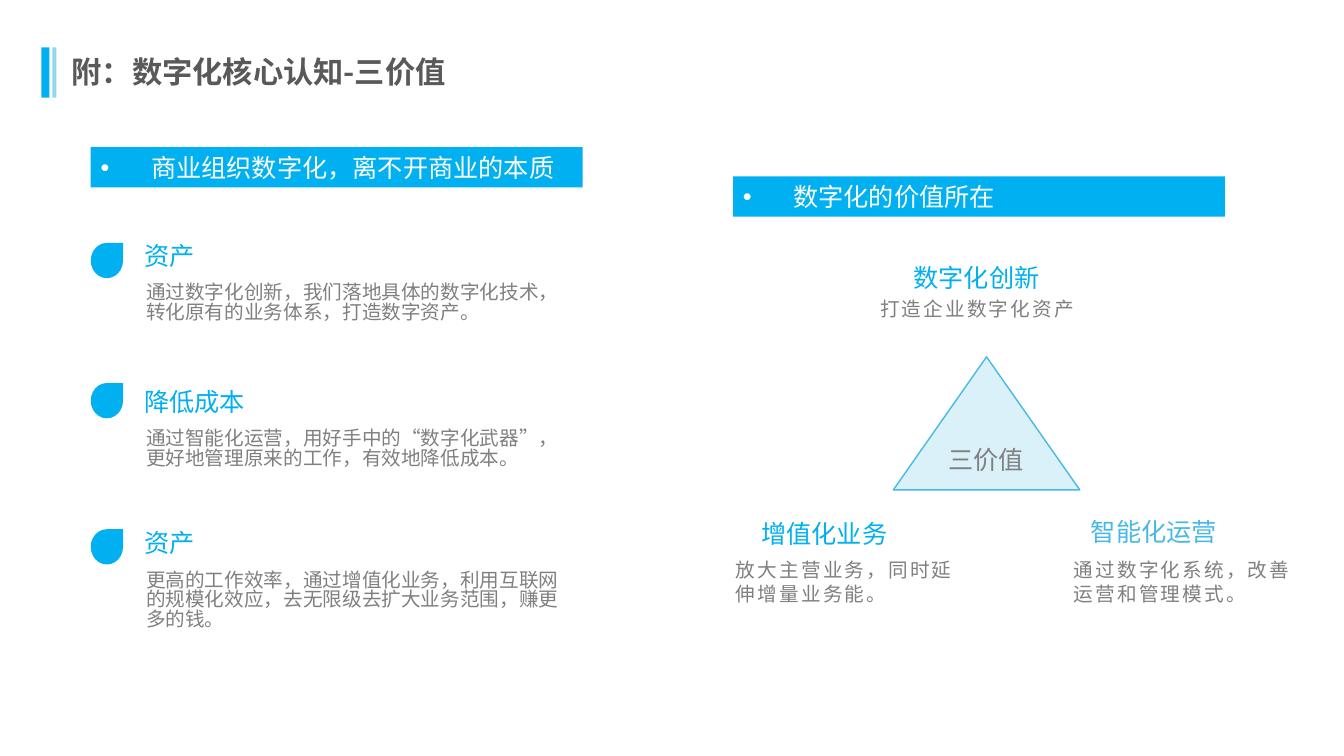
from pptx import Presentation
from pptx.dml.color import RGBColor
from pptx.enum.shapes import MSO_SHAPE
from pptx.enum.text import MSO_ANCHOR, PP_ALIGN
from pptx.oxml.xmlchemy import OxmlElement
from pptx.util import Emu, Pt

EMU_PER_PX = 9144
FONT = "Noto Sans CJK SC"
BLUE = RGBColor(0x00, 0xB0, 0xF0)
SKY = RGBColor(0x48, 0xB9, 0xE5)
LIGHT_BLUE = RGBColor(0x91, 0xD5, 0xEF)
PALE_BLUE = RGBColor(0xDA, 0xF1, 0xFA)
WHITE = RGBColor(0xFF, 0xFF, 0xFF)
GREY = RGBColor(0x80, 0x80, 0x80)
DARK_GREY = RGBColor(0x59, 0x59, 0x59)

HEADING = {"size": Pt(18), "name": FONT}
DETAIL = {"size": Pt(14), "name": FONT}
TITLE = {"size": Pt(21.6), "name": FONT, "bold": True}
PADDING = ("margin_left", "margin_top", "margin_right", "margin_bottom")

BENEFITS = [
    (241, 230, 57, "资产",
     "通过数字化创新，我们落地具体的数字化技术，转化原有的业务体系，打造数字资产。"),
    (380, 375, 57, "降低成本",
     "通过智能化运营，用好手中的“数字化武器”，更好地管理原来的工作，有效地降低成本。"),
    (525, 515, 81, "资产",
     "更高的工作效率，通过增值化业务，利用互联网的规模化效应，去无限级去扩大业务范围，赚更多的钱。"),
]
CORNERS = [
    ((898, 252, 186, 46), "数字化创新", BLUE,
     (865, 283, 250, 45), "打造企业数字化资产"),
    ((747, 506, 191, 46), "增值化业务", BLUE,
     (722, 540, 237, 74), "放大主营业务，同时延伸增量业务能。"),
    ((1074, 504, 165, 46), "智能化运营", SKY,
     (1057, 540, 232, 74), "通过数字化系统，改善运营和管理模式。"),
]


def px(length):
    return Emu(length * EMU_PER_PX)


def set_attributes(target, values):
    for name, value in values.items():
        setattr(target, name, value)


def write(frame, wording, font_values, color, paragraph_values, tracking=0):
    frame.word_wrap = True
    paragraph = frame.paragraphs[0]
    set_attributes(paragraph, paragraph_values)
    run = paragraph.add_run()
    run.text = wording
    set_attributes(run.font, font_values)
    run.font.color.rgb = color
    properties = run.font._element
    east_asian = OxmlElement("a:ea")
    east_asian.set("typeface", FONT)
    properties.append(east_asian)
    if tracking:
        properties.set("spc", str(tracking))
    return paragraph


def add_label(slide, box, wording, font_values, color, anchor=MSO_ANCHOR.MIDDLE,
              padding=None, align=PP_ALIGN.LEFT, spacing=1.0, tracking=0):
    frame = slide.shapes.add_textbox(*map(px, box)).text_frame
    frame.vertical_anchor = anchor
    if padding:
        set_attributes(frame, dict.fromkeys(PADDING, px(padding)))
    write(frame, wording, font_values, color,
          {"alignment": align, "line_spacing": spacing}, tracking)


def add_figure(slide, preset, box, fill, outline=None):
    figure = slide.shapes.add_shape(preset, *map(px, box))
    figure.shadow.inherit = False
    figure.fill.solid()
    figure.fill.fore_color.rgb = fill
    if outline:
        figure.line.color.rgb = outline
        figure.line.width = Pt(1)
    else:
        figure.line.fill.background()
    return figure


def add_banner(slide, left, top, wording):
    banner = add_figure(slide, MSO_SHAPE.RECTANGLE, (left, top, 488, 40), BLUE)
    paragraph = write(banner.text_frame, wording, HEADING, WHITE,
                      {"alignment": PP_ALIGN.JUSTIFY})
    properties = paragraph._p.get_or_add_pPr()
    properties.set("marL", str(px(50)))
    properties.set("indent", str(-px(50)))
    bullet_font = OxmlElement("a:buFont")
    bullet_font.set("typeface", "Arial")
    bullet = OxmlElement("a:buChar")
    bullet.set("char", "•")
    properties.extend([bullet_font, bullet])


def add_title(slide, wording):
    add_figure(slide, MSO_SHAPE.RECTANGLE, (52, 47, 4, 50), LIGHT_BLUE)
    add_figure(slide, MSO_SHAPE.RECTANGLE, (41, 47, 8, 50), BLUE)
    title = slide.shapes.title
    set_attributes(title, {"left": px(61), "top": px(47),
                           "width": px(1026), "height": px(48)})
    title.text_frame.vertical_anchor = MSO_ANCHOR.MIDDLE
    write(title.text_frame, wording, TITLE, DARK_GREY,
          {"alignment": PP_ALIGN.LEFT})


def add_benefit(slide, drop_top, heading_top, detail_height, heading, detail):
    add_figure(slide, MSO_SHAPE.TEAR, (90, drop_top, 32, 35), BLUE)
    add_label(slide, (135, heading_top, 512, 46), heading, HEADING, BLUE, padding=8)
    add_label(slide, (135, heading_top + 47, 442, detail_height), detail, DETAIL,
              GREY, anchor=MSO_ANCHOR.TOP, spacing=0.83)


def add_corner(slide, heading_box, heading, color, detail_box, detail):
    add_label(slide, heading_box, heading, HEADING, color, padding=8)
    add_label(slide, detail_box, detail, DETAIL, GREY, padding=8,
              spacing=1.03, tracking=150)


def main():
    deck = Presentation()
    set_attributes(deck, {"slide_width": px(1333), "slide_height": px(750)})
    slide = deck.slides.add_slide(deck.slide_layouts[5])
    add_title(slide, "附：数字化核心认知-三价值")
    add_banner(slide, 90, 146, "商业组织数字化，离不开商业的本质")
    for benefit in BENEFITS:
        add_benefit(slide, *benefit)
    add_banner(slide, 727, 175, "数字化的价值所在")
    add_figure(slide, MSO_SHAPE.ISOSCELES_TRIANGLE, (886, 354, 185, 132),
               PALE_BLUE, SKY)
    add_label(slide, (920, 433, 116, 46), "三价值", HEADING, GREY, padding=8,
              align=PP_ALIGN.CENTER)
    for corner in CORNERS:
        add_corner(slide, *corner)
    deck.save("out.pptx")


if __name__ == "__main__":
    main()
